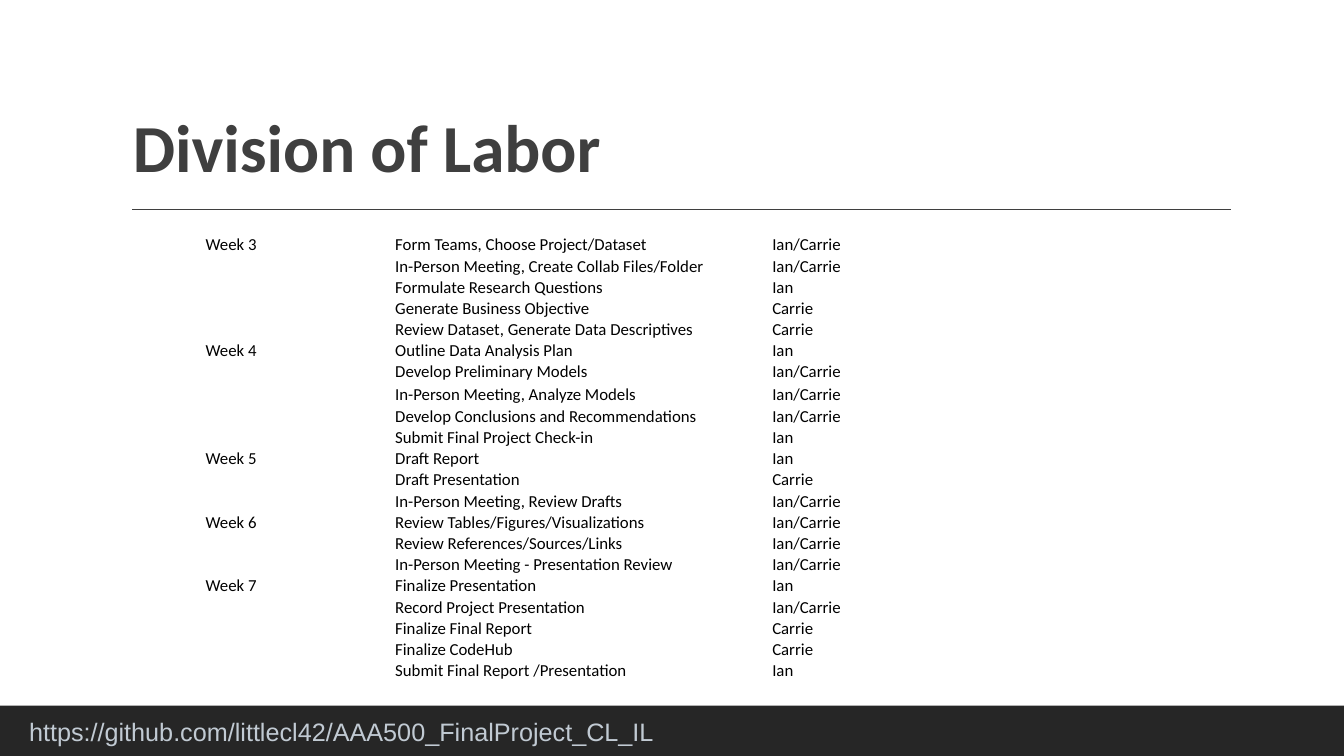
from lxml.etree import SubElement
from pptx import Presentation
from pptx.dml.color import RGBColor
from pptx.enum.shapes import MSO_CONNECTOR, MSO_SHAPE
from pptx.enum.text import MSO_ANCHOR
from pptx.oxml.ns import qn
from pptx.util import Inches, Pt

# Slide grid: one column or row is a tenth of an inch
GRID_COLUMNS, GRID_ROWS = 133.3, 75
UNIT = Inches(0.1)

WHITE = RGBColor(0xFF, 0xFF, 0xFF)
BLACK = RGBColor(0x00, 0x00, 0x00)
CHARCOAL = RGBColor(0x3F, 0x3F, 0x3F)
FOOTER_DARK = RGBColor(0x26, 0x26, 0x26)
FOOTER_TEXT = RGBColor(0xC1, 0xCA, 0xD3)

TITLE_FORMAT = {"name": "Calibri", "size": Pt(48), "bold": True}
CELL_FORMAT = {"name": "Calibri", "size": Pt(12)}
LINK_FORMAT = {"name": "Arial", "size": Pt(18)}
CELL_LAYOUT = {
    "margin_left": Inches(0.01), "margin_right": Inches(0.01),
    "margin_top": Inches(0.01), "margin_bottom": 0,
    "vertical_anchor": MSO_ANCHOR.MIDDLE,
}

# Tasks and owners by week
BOTH, IAN, CARRIE = "Ian/Carrie", "Ian", "Carrie"
SCHEDULE = {
    "Week 3": [
        ("Form Teams, Choose Project/Dataset", BOTH),
        ("In-Person Meeting, Create Collab Files/Folder", BOTH),
        ("Formulate Research Questions", IAN),
        ("Generate Business Objective", CARRIE),
        ("Review Dataset, Generate Data Descriptives", CARRIE),
    ],
    "Week 4": [
        ("Outline Data Analysis Plan", IAN),
        ("Develop Preliminary Models", BOTH),
        ("In-Person Meeting, Analyze Models", BOTH),
        ("Develop Conclusions and Recommendations", BOTH),
        ("Submit Final Project Check-in", IAN),
    ],
    "Week 5": [
        ("Draft Report", IAN),
        ("Draft Presentation", CARRIE),
        ("In-Person Meeting, Review Drafts", BOTH),
    ],
    "Week 6": [
        ("Review Tables/Figures/Visualizations", BOTH),
        ("Review References/Sources/Links", BOTH),
        ("In-Person Meeting - Presentation Review", BOTH),
    ],
    "Week 7": [
        ("Finalize Presentation", IAN),
        ("Record Project Presentation", BOTH),
        ("Finalize Final Report", CARRIE),
        ("Finalize CodeHub", CARRIE),
        ("Submit Final Report /Presentation", IAN),
    ],
}
COLUMN_WIDTHS = (18.8, 37.4, 37.7)
ROW_HEIGHT = 2.1
TALL_ROW, TALL_ROW_HEIGHT = 7, 2.3


def grid(*lengths):
    return [round(length * UNIT) for length in lengths]


def set_attributes(target, values):
    for name, value in values.items():
        setattr(target, name, value)


def write_text(paragraph, text, font_format, color):
    run = paragraph.add_run()
    run.text = text
    set_attributes(run.font, font_format)
    run.font.color.rgb = color


def add_text(slide, box, text, font_format, color, anchor=MSO_ANCHOR.TOP, spacing=None):
    frame = slide.shapes.add_textbox(*grid(*box)).text_frame
    set_attributes(frame, {"word_wrap": True, "vertical_anchor": anchor})
    paragraph = frame.paragraphs[0]
    paragraph.line_spacing = spacing
    write_text(paragraph, text, font_format, color)


def add_bar(slide, box, color):
    bar = slide.shapes.add_shape(MSO_SHAPE.RECTANGLE, *grid(*box))
    bar.shadow.inherit = False
    bar.fill.solid()
    bar.fill.fore_color.rgb = color
    bar.line.fill.background()


def add_rule(slide, left, right, top, color):
    rule = slide.shapes.add_connector(MSO_CONNECTOR.STRAIGHT, *grid(left, top, right, top))
    rule.line.color.rgb = color
    rule.line.width = Pt(1)
    SubElement(rule._element.spPr, qn("a:effectLst"))


def fill_cell(cell, text):
    set_attributes(cell, CELL_LAYOUT)
    cell.fill.background()
    paragraph = cell.text_frame.paragraphs[0]
    if text:
        write_text(paragraph, text, CELL_FORMAT, BLACK)
    else:
        # Keeps an empty cell as low as its row
        SubElement(paragraph._p, qn("a:endParaRPr"), sz="1200")


def add_schedule(slide, left, top):
    rows = [
        (week if index == 0 else "", task, owner)
        for week, tasks in SCHEDULE.items()
        for index, (task, owner) in enumerate(tasks)
    ]
    box = grid(left, top, sum(COLUMN_WIDTHS), ROW_HEIGHT * len(rows))
    table = slide.shapes.add_table(len(rows), len(COLUMN_WIDTHS), *box).table
    set_attributes(table, {"first_row": False, "horz_banding": False})
    for column, width in zip(table.columns, grid(*COLUMN_WIDTHS)):
        column.width = width
    for index, texts in enumerate(rows):
        height = TALL_ROW_HEIGHT if index == TALL_ROW else ROW_HEIGHT
        table.rows[index].height = grid(height)[0]
        for cell, text in zip(table.rows[index].cells, texts):
            fill_cell(cell, text)


def main():
    presentation = Presentation()
    presentation.slide_width, presentation.slide_height = grid(GRID_COLUMNS, GRID_ROWS)
    slide = presentation.slides.add_slide(presentation.slide_layouts[6])
    slide.background.fill.solid()
    slide.background.fill.fore_color.rgb = WHITE

    # Footer bar and title rule
    add_bar(slide, (0, 70, GRID_COLUMNS, 5), FOOTER_DARK)
    add_rule(slide, 13.1, 122.1, 20.8, CHARCOAL)

    # Title, schedule and repository link
    add_text(slide, (12.2, 3.1, 110, 15.9), "Division of Labor",
             TITLE_FORMAT, CHARCOAL, MSO_ANCHOR.BOTTOM, 0.9)
    add_schedule(slide, 20.3, 23.2)
    add_text(slide, (1.9, 70.6, 131.4, 4),
             "https://github.com/littlecl42/AAA500_FinalProject_CL_IL",
             LINK_FORMAT, FOOTER_TEXT)

    presentation.save("out.pptx")


if __name__ == "__main__":
    main()
